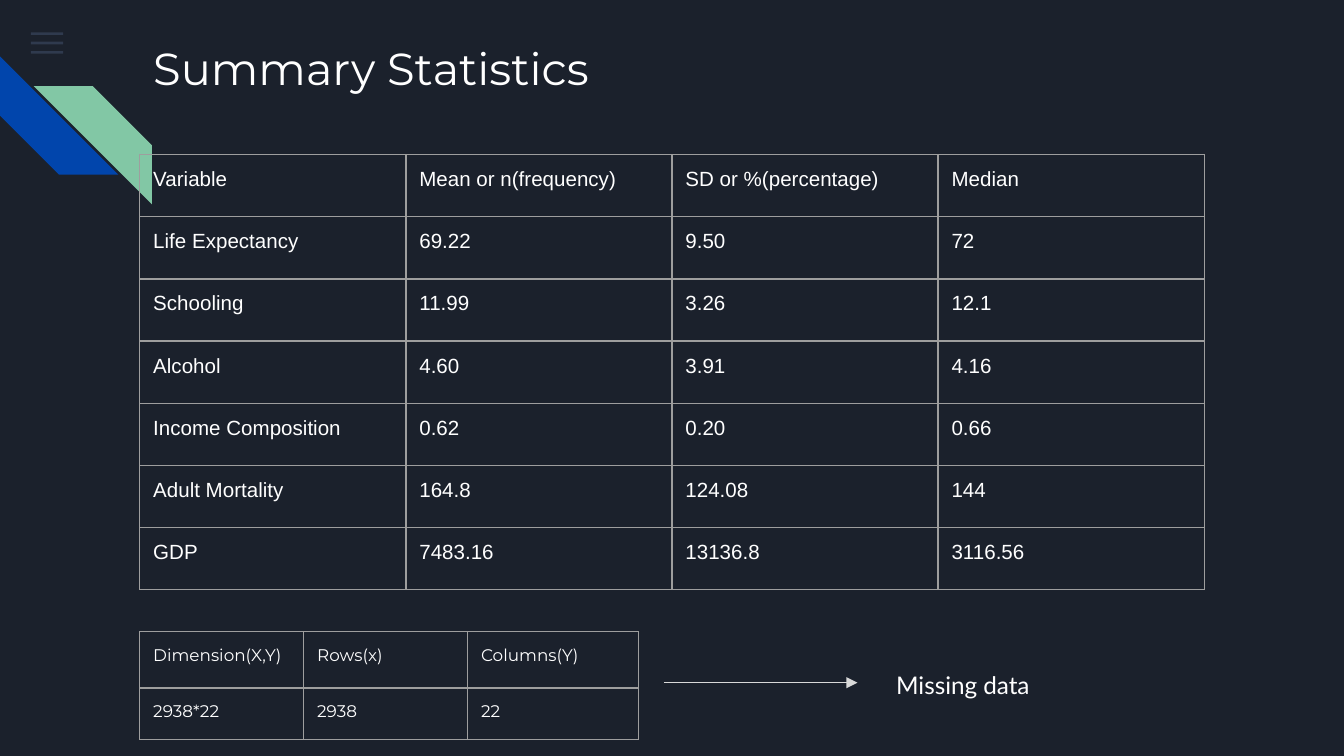
from dataclasses import dataclass

from lxml.etree import SubElement
from pptx import Presentation
from pptx.dml.color import RGBColor
from pptx.enum.shapes import MSO_CONNECTOR as Connector, MSO_SHAPE as Shape
from pptx.enum.text import MSO_ANCHOR as Anchor, MSO_AUTO_SIZE as AutoSize, PP_ALIGN as Align
from pptx.oxml.ns import qn
from pptx.util import Inches, Pt


@dataclass(frozen=True)
class Theme:
    """Colours, fonts, type sizes and shared measures."""
    background: str = "1B212C"
    text: str = "FFFFFF"
    menu: str = "55688B"
    blue: str = "0145AC"
    green: str = "82C7A5"
    border: str = "9E9E9E"
    arrow: str = "D9D9D9"
    heading_font: str = "Montserrat"
    table_font: str = "Arial"
    label_font: str = "Lato"
    title_size: float = 24
    statistics_size: float = 11
    dimensions_size: float = 9
    label_size: float = 13
    line_width: float = 0.75
    inset: float = 0.1


THEME = Theme()
STATISTICS = [
    ["Variable", "Mean or n(frequency)", "SD or %(percentage)", "Median"],
    ["Life Expectancy", "69.22", "9.50", "72"],
    ["Schooling", "11.99", "3.26", "12.1"],
    ["Alcohol", "4.60", "3.91", "4.16"],
    ["Income Composition", "0.62", "0.20", "0.66"],
    ["Adult Mortality", "164.8", "124.08", "144"],
    ["GDP", "7483.16", "13136.8", "3116.56"],
]
DIMENSIONS = [
    ["Dimension(X,Y)", "Rows(x)", "Columns(Y)"],
    ["2938*22", "2938", "22"],
]


def color(value):
    """Turn a hex string into a colour."""
    return RGBColor.from_string(value)


def write(frame, text, font, size):
    """Put one left-aligned line of styled text in a text frame."""
    frame.text = text
    para = frame.paragraphs[0]
    para.alignment = Align.LEFT
    span = para.runs[0]
    span.font.name = font
    span.font.size = Pt(size)
    span.font.color.rgb = color(THEME.text)


def set_insets(target):
    """Give a cell or text frame equal margins on all sides."""
    target.margin_left = target.margin_right = Inches(THEME.inset)
    target.margin_top = target.margin_bottom = Inches(THEME.inset)


def add_filled(page, kind, left, top, width, height, fill):
    """Add a preset shape with a plain fill and no outline."""
    shape = page.shapes.add_shape(kind, Inches(left), Inches(top), Inches(width), Inches(height))
    shape.shadow.inherit = False
    shape.fill.solid()
    shape.fill.fore_color.rgb = color(fill)
    shape.line.fill.background()
    return shape


def add_menu(page, left, top, width):
    """Add three faint, evenly spaced bars."""
    for index in range(3):
        bar = add_filled(page, Shape.RECTANGLE, left, top + index * 0.07, width, 0.02, THEME.menu)
        tint = bar._element.spPr.find(f".//{qn('a:srgbClr')}")
        SubElement(tint, qn("a:alpha"), val="36000")


def add_stripes(page, left, top, size):
    """Add the two parallel diagonal stripes."""
    for offset, angle, fill in ((0, 270, THEME.blue), (1, 90, THEME.green)):
        stripe = add_filled(page, Shape.DIAGONAL_STRIPE, left + offset * 0.25,
                            top + offset * 0.22, size, size, fill)
        stripe.rotation = angle


def add_title(page, text, left, top, width, height):
    """Place and style the title placeholder."""
    title = page.shapes.title
    title.left, title.top = Inches(left), Inches(top)
    title.width, title.height = Inches(width), Inches(height)
    frame = title.text_frame
    frame.auto_size = AutoSize.NONE
    frame.vertical_anchor = Anchor.TOP
    set_insets(frame)
    write(frame, text, THEME.heading_font, THEME.title_size)


def add_borders(cell):
    """Draw a thin line on all four sides of a cell."""
    properties = cell._tc.get_or_add_tcPr()
    for side in ("lnL", "lnR", "lnT", "lnB"):
        line = SubElement(properties, qn(f"a:{side}"), w=str(Pt(THEME.line_width)))
        fill = SubElement(line, qn("a:solidFill"))
        SubElement(fill, qn("a:srgbClr"), val=THEME.border)


def add_grid(page, rows, left, top, widths, heights, font, size):
    """Add a bordered table without fills."""
    frame = page.shapes.add_table(len(rows), len(widths), Inches(left), Inches(top),
                                  Inches(sum(widths)), Inches(sum(heights)))
    table = frame.table
    table.first_row = table.horz_banding = False
    for column, width in zip(table.columns, widths):
        column.width = Inches(width)
    for row, height, texts in zip(table.rows, heights, rows):
        row.height = Inches(height)
        for cell, text in zip(row.cells, texts):
            set_insets(cell)
            cell.vertical_anchor = Anchor.TOP
            add_borders(cell)
            cell.fill.background()
            write(cell.text_frame, text, font, size)


def add_callout(page, text, left, top, width, height):
    """Add an arrow that points right to a short label."""
    arrow_y = Inches(top + 0.19)
    arrow = page.shapes.add_connector(Connector.STRAIGHT, Inches(left), arrow_y,
                                      Inches(left + 1.44), arrow_y)
    arrow.line.color.rgb = color(THEME.arrow)
    arrow.line.width = Pt(THEME.line_width)
    SubElement(arrow.line._get_or_add_ln(), qn("a:tailEnd"), type="triangle", w="med", len="med")
    SubElement(arrow._element.spPr, qn("a:effectLst"))
    label = page.shapes.add_textbox(Inches(left + 1.63), Inches(top),
                                    Inches(width - 1.63), Inches(height))
    frame = label.text_frame
    frame.word_wrap = True
    frame.auto_size = AutoSize.SHAPE_TO_FIT_TEXT
    set_insets(frame)
    write(frame, text, THEME.label_font, THEME.label_size)


def main():
    """Build and save the summary statistics slide."""
    deck = Presentation()
    deck.slide_width = Inches(10)
    deck.slide_height = deck.slide_width * 9 // 16
    page = deck.slides.add_slide(deck.slide_layouts[5])
    page.background.fill.solid()
    page.background.fill.fore_color.rgb = color(THEME.background)
    left, width = 1.04, 7.92
    add_menu(page, 0.23, 0.24, 0.24)
    add_stripes(page, 0, 0.42, 0.88)
    add_title(page, "Summary Statistics", left, 0.2, width, 1)
    add_grid(page, STATISTICS, left, 1.15, [width / 4] * 4, [3.24 / 7] * 7,
             THEME.table_font, THEME.statistics_size)
    add_grid(page, DIMENSIONS, left, 4.7, [1.22, 1.22, 1.27], [0.42, 0.38],
             THEME.heading_font, THEME.dimensions_size)
    add_callout(page, "Missing data", 4.94, 4.89, 3.26, 0.42)
    deck.save("out.pptx")


if __name__ == "__main__":
    main()
